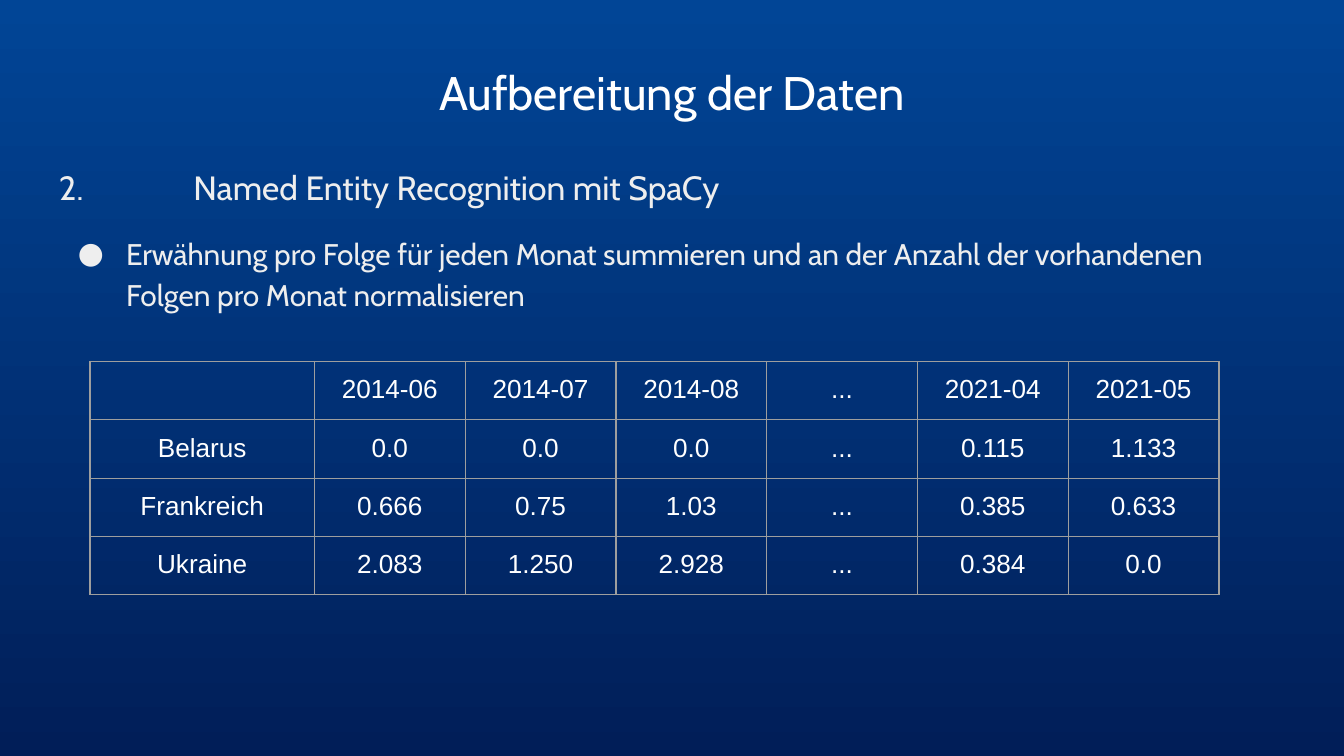
from lxml.etree import SubElement
from pptx import Presentation
from pptx.dml.color import RGBColor as Rgb
from pptx.enum.text import PP_ALIGN as Align
from pptx.oxml.ns import qn
from pptx.util import Inches, Pt

COLORS = {
    "top": "014596",
    "bottom": "011E58",
    "title": "FFFFFF",
    "body": "EEEEEE",
    "border": "9E9E9E",
}
GRID_COLUMNS, GRID_ROWS = 100, 56.25
INSET = Inches(0.1)
ROWS = [
    ["", "2014-06", "2014-07", "2014-08", "...", "2021-04", "2021-05"],
    ["Belarus", "0.0", "0.0", "0.0", "...", "0.115", "1.133"],
    ["Frankreich", "0.666", "0.75", "1.03", "...", "0.385", "0.633"],
    ["Ukraine", "2.083", "1.250", "2.928", "...", "0.384", "0.0"],
]


def write(para, text, size, color="body", font="Cabin", align=Align.LEFT, line=1.0, before=0):
    para.alignment = align
    para.line_spacing = line
    para.space_before = Pt(before)
    if not text:
        SubElement(para._p, qn("a:endParaRPr"), sz=str(size * 100))
        return
    span = para.add_run()
    span.text = text
    span.font.size = Pt(size)
    span.font.name = font
    span.font.color.rgb = Rgb.from_string(COLORS[color])


class SlideBuilder:
    def __init__(self, deck):
        self.page = deck.slides.add_slide(deck.slide_layouts[6])
        self.column = deck.slide_width / GRID_COLUMNS
        self.row = deck.slide_height / GRID_ROWS

    def across(self, columns):
        return round(columns * self.column)

    def down(self, rows):
        return round(rows * self.row)

    def background(self, *names):
        fill = self.page.background.fill
        fill.gradient()
        fill.gradient_angle = 270
        for stop, name in zip(fill.gradient_stops, names):
            stop.color.rgb = Rgb.from_string(COLORS[name])

    def text_box(self, left, top, width, height):
        box = self.page.shapes.add_textbox(
            self.across(left), self.down(top), self.across(width), self.down(height)
        )
        frame = box.text_frame
        frame.word_wrap = True
        frame.margin_left = frame.margin_right = INSET
        frame.margin_top = frame.margin_bottom = INSET
        return frame

    def tab_stop(self, para, columns):
        stops = SubElement(para._p.get_or_add_pPr(), qn("a:tabLst"))
        SubElement(stops, qn("a:tab"), pos=str(self.across(columns)), algn="l")

    def bullet(self, para, indent, hanging):
        props = para._p.get_or_add_pPr()
        props.set("marL", str(self.across(indent)))
        props.set("indent", str(-self.across(hanging)))
        tint = SubElement(props, qn("a:buClr"))
        SubElement(tint, qn("a:srgbClr"), val=COLORS["body"])
        SubElement(props, qn("a:buFont"), typeface="Cabin")
        SubElement(props, qn("a:buChar"), char="●")

    def border(self, cell):
        props = cell._tc.get_or_add_tcPr()
        for side in ("a:lnL", "a:lnR", "a:lnT", "a:lnB"):
            edge = SubElement(props, qn(side), w=str(Pt(0.75)))
            fill = SubElement(edge, qn("a:solidFill"))
            SubElement(fill, qn("a:srgbClr"), val=COLORS["border"])

    def table(self, rows, left, top, widths, height):
        table = self.page.shapes.add_table(
            len(rows), len(widths), self.across(left), self.down(top),
            self.across(sum(widths)), self.down(height * len(rows)),
        ).table
        table.first_row = table.horz_banding = False
        for column, width in zip(table.columns, widths):
            column.width = self.across(width)
        for line, texts in zip(table.rows, rows):
            line.height = self.down(height)
            for cell, text in zip(line.cells, texts):
                self.border(cell)
                cell.fill.background()
                cell.margin_left = cell.margin_right = INSET
                cell.margin_top = cell.margin_bottom = INSET
                write(cell.text_frame.paragraphs[0], text, 14, color="title",
                      font="Arial", align=Align.CENTER)


def main():
    deck = Presentation()
    deck.slide_width = Inches(10)
    deck.slide_height = deck.slide_width * 9 // 16
    slide = SlideBuilder(deck)
    slide.background("top", "bottom")

    title = slide.text_box(3.4, 3.7, 93.2, 6.3)
    write(title.paragraphs[0], "Aufbereitung der Daten", 25.2, color="title", align=Align.CENTER)

    body = slide.text_box(3.4, 11, 93.2, 14.2)
    heading = body.paragraphs[0]
    slide.tab_stop(heading, 10)
    write(heading, "2.\tNamed Entity Recognition mit SpaCy", 18, line=1.15)
    point = body.add_paragraph()
    slide.bullet(point, 5, 3.6)
    write(
        point,
        "Erwähnung pro Folge für jeden Monat summieren und an der Anzahl "
        "der vorhandenen Folgen pro Monat normalisieren",
        16, line=1.15, before=12,
    )

    slide.table(ROWS, 6.7, 26.9, [16.7] + [11.22] * 6, 4.33)
    deck.save("out.pptx")


if __name__ == "__main__":
    main()
